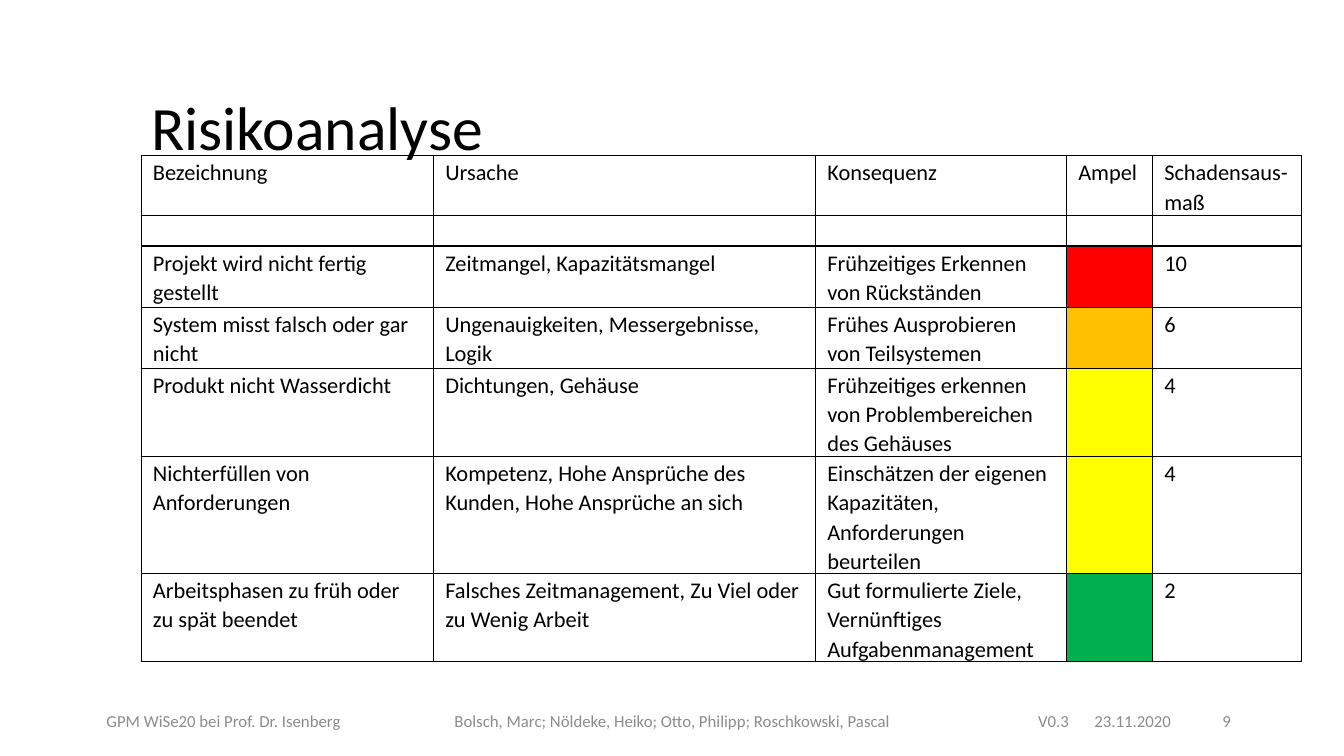
from dataclasses import dataclass

from lxml import etree
from pptx import Presentation
from pptx.dml.color import RGBColor
from pptx.enum.text import MSO_ANCHOR, MSO_AUTO_SIZE, PP_ALIGN
from pptx.oxml.ns import qn
from pptx.util import Pt

LEFT, CENTER, RIGHT = PP_ALIGN.LEFT, PP_ALIGN.CENTER, PP_ALIGN.RIGHT
TOP, MIDDLE = MSO_ANCHOR.TOP, MSO_ANCHOR.MIDDLE
FIT_SHAPE = MSO_AUTO_SIZE.SHAPE_TO_FIT_TEXT
TITLE_ONLY = 5
FONT = "Calibri"
BLACK, GRAY = "000000", "8C8C8C"
TABLE_SIZE = 16


@dataclass
class FooterItem:
    text: str
    left: float
    width: float
    align: PP_ALIGN = LEFT


@dataclass
class Risk:
    name: str
    cause: str
    consequence: str
    light: str
    damage: str
    height: float


COLUMN_WIDTHS = (208.8, 272.9, 179.3, 61.4, 106.2)
HEADINGS = ("Bezeichnung", "Ursache", "Konsequenz", "Ampel", "Schadensaus-maß")
HEADING_HEIGHT, SPACER_HEIGHT = 42.8, 21.8

RISKS = (
    Risk("Projekt wird nicht fertig gestellt", "Zeitmangel, Kapazitätsmangel",
         "Frühzeitiges Erkennen von Rückständen", "FF0000", "10", 43.6),
    Risk("System misst falsch oder gar nicht", "Ungenauigkeiten, Messergebnisse, Logik",
         "Frühes Ausprobieren von Teilsystemen", "FFC000", "6", 43.6),
    Risk("Produkt nicht Wasserdicht", "Dichtungen, Gehäuse",
         "Frühzeitiges erkennen von Problembereichen des Gehäuses", "FFFF00", "4", 62.8),
    Risk("Nichterfüllen von Anforderungen",
         "Kompetenz, Hohe Ansprüche des Kunden, Hohe Ansprüche an sich",
         "Einschätzen der eigenen Kapazitäten, Anforderungen beurteilen", "FFFF00", "4", 83.6),
    Risk("Arbeitsphasen zu früh oder zu spät beendet",
         "Falsches Zeitmanagement, Zu Viel oder zu Wenig Arbeit",
         "Gut formulierte Ziele, Vernünftiges Aufgabenmanagement", "00B050", "2", 62.6),
)

FOOTER = (
    FooterItem("GPM WiSe20 bei Prof. Dr. Isenberg", 66.2, 187.2, CENTER),
    FooterItem("Bolsch, Marc; Nöldeke, Heiko; Otto, Philipp; Roschkowski, Pascal",
               305.3, 349.9, CENTER),
    FooterItem("V0.3", 734.4, 36.7),
    FooterItem("23.11.2020", 774.7, 141.8),
    FooterItem("9", 670.3, 216, RIGHT),
)


def color(value: str) -> RGBColor:
    return RGBColor.from_string(value)


def write(frame, text: str, *, size: float, fill: str = BLACK, align=LEFT,
          spacing: float = 1.0, after: float = 0) -> None:
    para = frame.paragraphs[0]
    para.alignment = align
    para.line_spacing = spacing
    para.space_before = Pt(0)
    para.space_after = Pt(after)
    if not text:
        etree.SubElement(para._p, qn("a:endParaRPr"), sz=str(size * 100))
        return
    span = para.add_run()
    span.text = text
    span.font.name = FONT
    span.font.size = Pt(size)
    span.font.color.rgb = color(fill)


def add_title(page, text: str) -> None:
    title = page.shapes.title
    title.left, title.top = Pt(100.8), Pt(59.8)
    title.width, title.height = Pt(254.2), Pt(60.6)
    frame = title.text_frame
    frame.word_wrap = False
    frame.auto_size = FIT_SHAPE
    frame.vertical_anchor = TOP
    write(frame, text, size=44)


def add_footer_item(page, item: FooterItem) -> None:
    box = page.shapes.add_textbox(Pt(item.left), Pt(500.4), Pt(item.width), Pt(28.8))
    frame = box.text_frame
    frame.word_wrap = True
    frame.vertical_anchor = MIDDLE
    write(frame, item.text, size=12, fill=GRAY, align=item.align)


def add_borders(cell) -> None:
    properties = cell._tc.get_or_add_tcPr()
    for side in ("lnL", "lnR", "lnT", "lnB"):
        line = etree.SubElement(properties, qn(f"a:{side}"), w=str(Pt(1)))
        solid = etree.SubElement(line, qn("a:solidFill"))
        etree.SubElement(solid, qn("a:srgbClr"), val=BLACK)


def format_cell(cell, text: str, fill: str = "") -> None:
    cell.margin_left = cell.margin_right = Pt(8.5)
    cell.margin_top, cell.margin_bottom = Pt(1.4), Pt(0)
    cell.vertical_anchor = TOP
    add_borders(cell)
    if fill:
        cell.fill.solid()
        cell.fill.fore_color.rgb = color(fill)
    else:
        cell.fill.background()
    write(cell.text_frame, text, size=TABLE_SIZE, spacing=1.07, after=8)


def add_risk_table(page) -> None:
    rows = [HEADINGS, ("",) * len(HEADINGS)]
    rows += [(risk.name, risk.cause, risk.consequence, "", risk.damage) for risk in RISKS]
    heights = [HEADING_HEIGHT, SPACER_HEIGHT] + [risk.height for risk in RISKS]
    lights = ["", ""] + [risk.light for risk in RISKS]
    light_column = HEADINGS.index("Ampel")

    table = page.shapes.add_table(len(rows), len(HEADINGS), Pt(100.8), Pt(111.2),
                                  Pt(sum(COLUMN_WIDTHS)), Pt(sum(heights))).table
    table.first_row = table.horz_banding = False
    for column, width in zip(table.columns, COLUMN_WIDTHS):
        column.width = Pt(width)
    for row, height, texts, light in zip(table.rows, heights, rows, lights):
        row.height = Pt(height)
        for index, (cell, text) in enumerate(zip(row.cells, texts)):
            format_cell(cell, text, light if index == light_column else "")


def main() -> None:
    deck = Presentation()
    deck.slide_width, deck.slide_height = Pt(960), Pt(540)
    page = deck.slides.add_slide(deck.slide_layouts[TITLE_ONLY])
    for item in FOOTER:
        add_footer_item(page, item)
    add_title(page, "Risikoanalyse")
    add_risk_table(page)
    deck.save("out.pptx")


if __name__ == "__main__":
    main()
